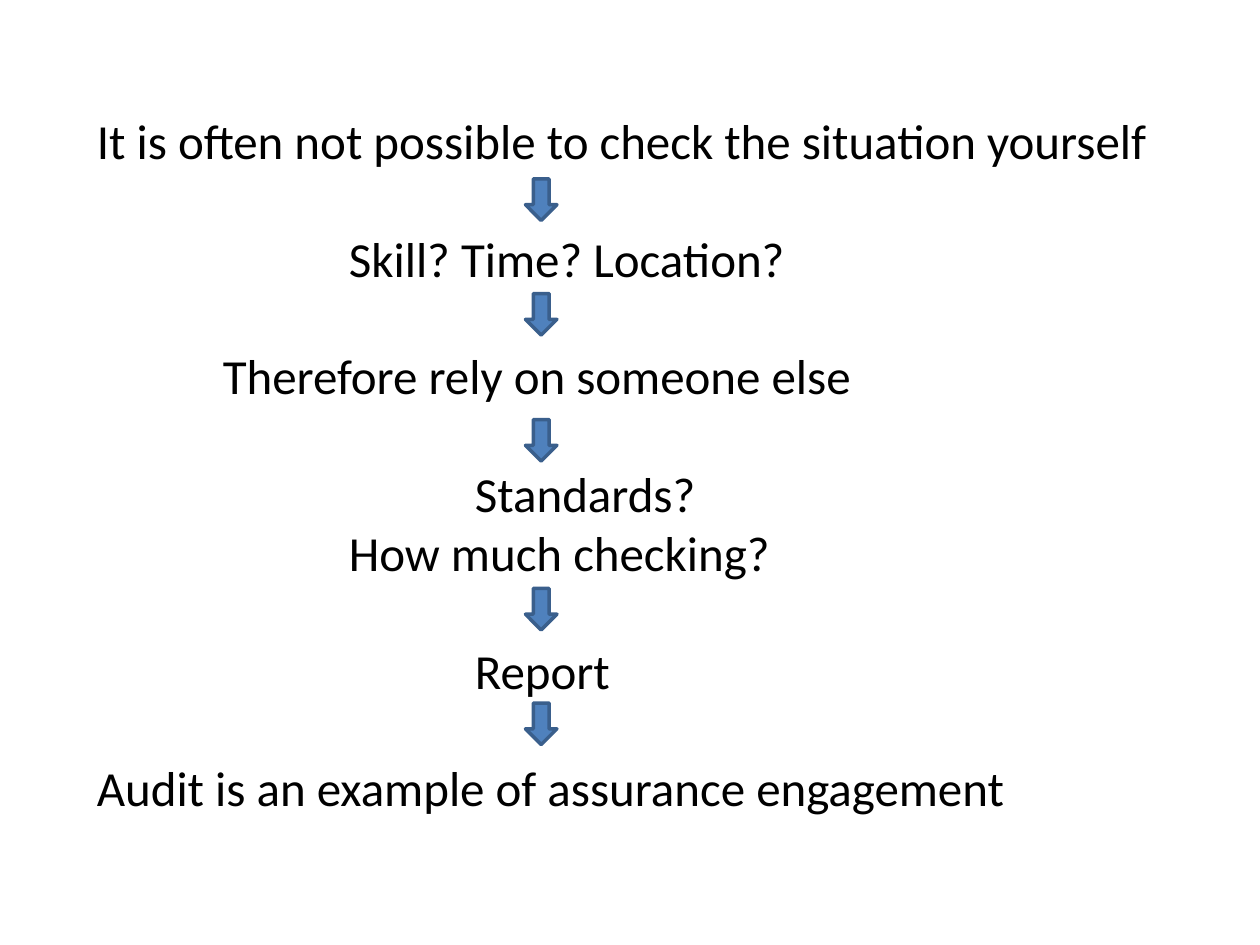
from pptx import Presentation
from pptx.dml.color import RGBColor
from pptx.enum.shapes import MSO_SHAPE as Shape
from pptx.enum.text import MSO_AUTO_SIZE as AutoSize
from pptx.util import Inches, Pt

FONT_SIZE = 28
BLANK_LINE = 33.6  # points between steps, one line high

# wording, indent in inches, starts a new step
STEPS = [
    ("It is often not possible to check the situation yourself", 0, False),
    ("Skill? Time? Location?", 2, True),
    ("Therefore rely on someone else", 1, True),
    ("Standards?", 3, True),
    ("How much checking?", 2, False),
    ("Report", 3, True),
    ("Audit is an example of assurance engagement", 0, True),
]
ARROW_TOPS = [1.42, 2.33, 3.33, 4.67, 5.58]


def color(hex_code):
    return RGBColor.from_string(hex_code)


def add_steps(slide):
    box = slide.shapes.add_textbox(Inches(0.67), Inches(0.83), Inches(8.75), Inches(5.76))
    frame = box.text_frame
    frame.word_wrap = True
    frame.auto_size = AutoSize.SHAPE_TO_FIT_TEXT
    for number, (wording, indent, new_step) in enumerate(STEPS):
        step = frame.add_paragraph() if number else frame.paragraphs[0]
        step.text = wording
        step.font.name = "Calibri"
        step.font.size = Pt(FONT_SIZE)
        step.font.color.rgb = color("000000")
        step.space_before = Pt(BLANK_LINE if new_step else 0)
        properties = step._p.get_or_add_pPr()
        properties.set("marL", str(Inches(indent)))
        properties.set("indent", "0")


def add_down_arrow(slide, top):
    arrow = slide.shapes.add_shape(
        Shape.DOWN_ARROW, Inches(4.17), Inches(top), Inches(0.25), Inches(0.33))
    arrow.shadow.inherit = False
    arrow.fill.solid()
    arrow.fill.fore_color.rgb = color("4F81BD")
    arrow.line.color.rgb = color("3A5F8C")
    arrow.line.width = Pt(2)


def main():
    deck = Presentation()
    deck.slide_width, deck.slide_height = Inches(10), Inches(7.5)
    slide = deck.slides.add_slide(deck.slide_layouts[6])
    add_steps(slide)
    for top in ARROW_TOPS:
        add_down_arrow(slide, top)
    deck.save("out.pptx")


if __name__ == "__main__":
    main()
